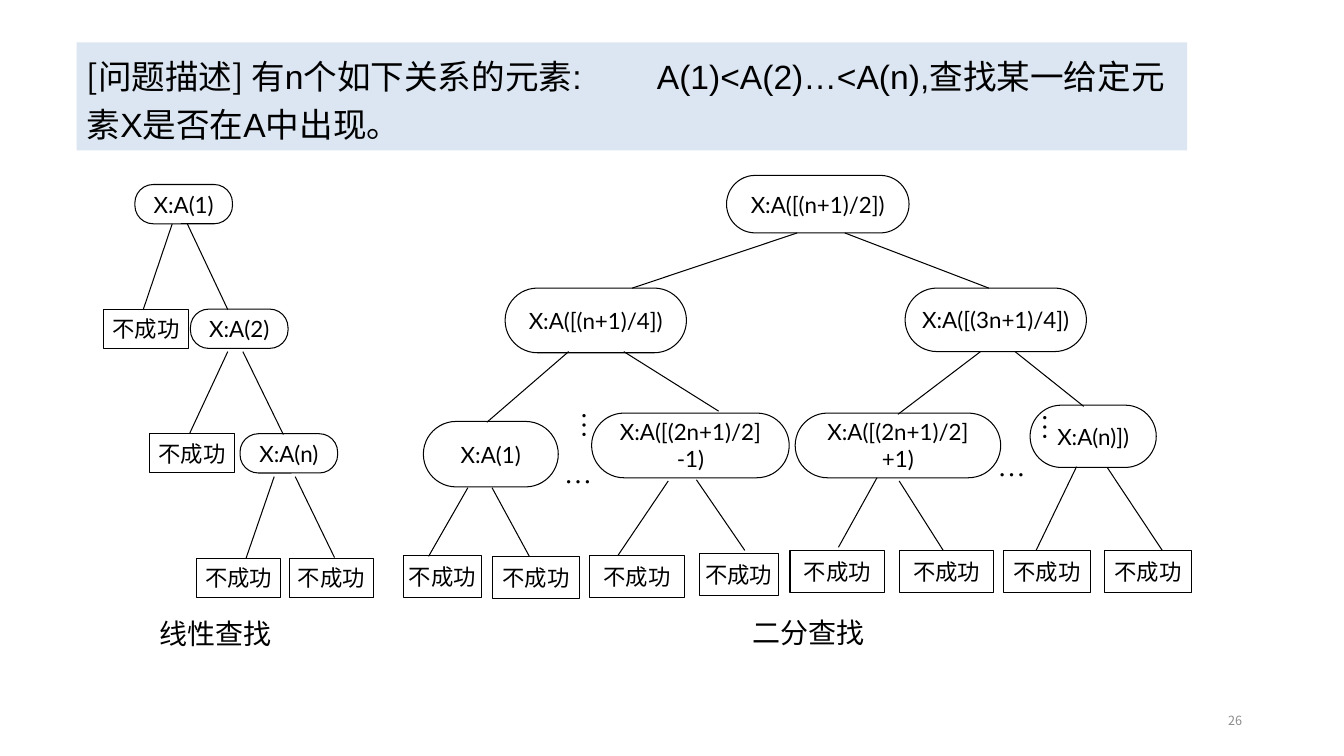
from dataclasses import dataclass

from lxml.etree import SubElement
from pptx import Presentation
from pptx.dml.color import RGBColor
from pptx.enum.shapes import MSO_CONNECTOR, MSO_SHAPE
from pptx.enum.text import MSO_ANCHOR, MSO_AUTO_SIZE, PP_ALIGN
from pptx.oxml.ns import qn
from pptx.util import Cm, Pt

BLACK = RGBColor(0x00, 0x00, 0x00)
GREY = RGBColor(0x8C, 0x8C, 0x8C)
PALE_BLUE = RGBColor(0xDC, 0xE6, 0xF2)
CJK = "Noto Sans CJK SC"
ARIAL = "Arial"
LATO = "Lato"
TIMES = "Times New Roman"
FAIL = "不成功"


@dataclass
class Node:
    text: str
    x: float
    y: float
    w: float
    h: float
    rounding: float = 0.0


@dataclass
class Edge:
    x1: float
    y1: float
    x2: float
    y2: float


@dataclass
class Label:
    text: str
    x: float
    y: float
    w: float
    h: float = 1.12
    font: str = CJK
    size: int = 20
    color: RGBColor = BLACK
    align: PP_ALIGN = PP_ALIGN.LEFT
    anchor: MSO_ANCHOR = MSO_ANCHOR.TOP
    wrap: bool = False
    vertical: bool = False


TITLE_RUNS = [
    ("[问题描述] 有", CJK), ("n", ARIAL), ("个如下关系的元素", CJK),
    (":\tA(1)<A(2)…<A(n),", ARIAL), ("查找某一给定元素", CJK), ("X", ARIAL),
    ("是否在", CJK), ("A", ARIAL), ("中出现。", CJK),
]

LEVEL_TOP, LEVEL_STEP = 4.65, 3.14
LINEAR_NODES = [
    Node(text, x, LEVEL_TOP + LEVEL_STEP * i, 2.46, 0.99, 0.467)
    for i, (text, x) in enumerate([("X:A(1)", 3.4), ("X:A(2)", 4.8), ("X:A(n)", 6.05)])
] + [
    Node(FAIL, x, LEVEL_TOP + LEVEL_STEP * level, 2.13, 0.99)
    for level, x in [(1, 2.62), (2, 3.78), (3, 4.95), (3, 7.29)]
]
LINEAR_EDGES = [
    Edge(4.34, 5.64, 3.61, 7.8), Edge(4.72, 5.64, 5.74, 7.8),
    Edge(5.74, 8.86, 4.78, 10.92), Edge(6.12, 8.86, 7.14, 10.95),
    Edge(6.91, 12.01, 6.2, 14.07), Edge(7.44, 12.01, 8.43, 14.05),
]

BINARY_NODES = [
    Node("X:A([(n+1)/2])", 18.31, 4.42, 4.6, 1.45, 0.5),
    Node("X:A([(3n+1)/4])", 22.81, 7.26, 4.57, 1.6, 0.5),
    Node("X:A([(n+1)/4])", 12.73, 7.26, 4.57, 1.63, 0.5),
    Node("X:A(n)])", 25.96, 10.21, 3.18, 1.57, 0.5),
    Node("X:A([(2n+1)/2]\n+1)", 20.04, 10.41, 5.18, 1.63, 0.5),
    Node("X:A([(2n+1)/2]\n-1)", 14.91, 10.41, 4.98, 1.63, 0.5),
    Node("X:A(1)", 10.67, 10.62, 3.4, 1.65, 0.5),
] + [
    Node(FAIL, x, y, w, 1.07)
    for x, y, w in [
        (10.16, 14, 1.98), (12.42, 14.02, 2.18), (14.86, 14, 2.39), (17.63, 13.94, 1.98),
        (19.91, 13.87, 2.39), (22.66, 13.87, 2.39), (25.3, 13.87, 2.18), (27.84, 13.87, 2.18),
    ]
]
BINARY_EDGES = [
    Edge(20.09, 5.87, 15.93, 7.26), Edge(21.29, 5.87, 24.92, 7.26),
    Edge(14.33, 8.86, 12.27, 10.64), Edge(15.72, 8.86, 18.11, 10.36),
    Edge(24.71, 8.86, 22.63, 10.44), Edge(25.58, 8.86, 27.31, 10.24),
    Edge(11.79, 12.29, 10.8, 14.02), Edge(12.4, 12.29, 13.34, 14.02),
    Edge(16.84, 12.12, 15.57, 14), Edge(17.55, 12.09, 18.77, 13.87),
    Edge(22.1, 12.04, 21.13, 13.79), Edge(22.66, 12.12, 23.77, 13.87),
    Edge(27.13, 11.76, 26.11, 13.87), Edge(27.91, 11.79, 29.29, 13.87),
]

LABELS = [
    Label("线性查找", 3.78, 15.42, 3.35),
    Label("二分查找", 18.72, 15.39, 3.38),
    Label("…", 14.15, 10.11, 1.37, font=TIMES, wrap=True, vertical=True),
    Label("…", 25.76, 10.16, 1.37, font=TIMES, wrap=True, vertical=True),
    Label("…", 13.97, 11.35, 1.22, font=TIMES),
    Label("…", 24.89, 11.18, 1.22, font=TIMES),
    Label("26", 23.93, 17.65, 7.62, 1.02, size=9, color=GREY,
          align=PP_ALIGN.RIGHT, anchor=MSO_ANCHOR.MIDDLE, wrap=True),
]


def add_run(p, text: str, font: str, size: int, color: RGBColor = BLACK) -> None:
    r = p.add_run()
    r.text = text
    r.font.size = Pt(size)
    r.font.color.rgb = color
    r.font.name = font
    SubElement(r._r.get_or_add_rPr(), qn("a:ea"), typeface=font)


def format_title(sp) -> None:
    sp.left, sp.top, sp.width, sp.height = Cm(1.93), Cm(1.07), Cm(27.99), Cm(2.72)
    sp.fill.solid()
    sp.fill.fore_color.rgb = PALE_BLUE
    tf = sp.text_frame
    tf.word_wrap = True
    tf.auto_size = MSO_AUTO_SIZE.NONE
    tf.vertical_anchor = MSO_ANCHOR.TOP
    p = tf.paragraphs[0]
    p.alignment = PP_ALIGN.LEFT
    p.line_spacing = 1.2
    tabs = SubElement(p._p.get_or_add_pPr(), qn("a:tabLst"))
    SubElement(tabs, qn("a:tab"), pos=str(Cm(14.37)), algn="l")
    for text, font in TITLE_RUNS:
        add_run(p, text, font, 24)


def draw_node(s, node: Node) -> None:
    kind = MSO_SHAPE.ROUNDED_RECTANGLE if node.rounding else MSO_SHAPE.RECTANGLE
    sp = s.shapes.add_shape(kind, Cm(node.x), Cm(node.y), Cm(node.w), Cm(node.h))
    if node.rounding:
        sp.adjustments[0] = node.rounding
    sp.shadow.inherit = False
    sp.fill.background()
    sp.line.color.rgb = BLACK
    sp.line.width = Pt(0.75)
    tf = sp.text_frame
    tf.word_wrap = False
    tf.vertical_anchor = MSO_ANCHOR.MIDDLE
    for i, line in enumerate(node.text.split("\n")):
        p = tf.add_paragraph() if i else tf.paragraphs[0]
        p.alignment = PP_ALIGN.CENTER
        add_run(p, line, LATO, 16)


def draw_edge(s, edge: Edge) -> None:
    sp = s.shapes.add_connector(MSO_CONNECTOR.STRAIGHT, Cm(edge.x1), Cm(edge.y1),
                                Cm(edge.x2), Cm(edge.y2))
    sp.line.color.rgb = BLACK
    sp.line.width = Pt(0.75)
    SubElement(sp._element.spPr, qn("a:effectLst"))


def draw_label(s, label: Label) -> None:
    sp = s.shapes.add_textbox(Cm(label.x), Cm(label.y), Cm(label.w), Cm(label.h))
    tf = sp.text_frame
    tf.word_wrap = label.wrap
    tf.vertical_anchor = label.anchor
    if label.vertical:
        tf._txBody.bodyPr.set("vert", "eaVert")
    p = tf.paragraphs[0]
    p.alignment = label.align
    add_run(p, label.text, label.font, label.size, label.color)


def main() -> None:
    prs = Presentation()
    prs.slide_width, prs.slide_height = Cm(33.87), Cm(19.05)
    s = prs.slides.add_slide(prs.slide_layouts[5])
    format_title(s.shapes.title)
    for node in LINEAR_NODES + BINARY_NODES:
        draw_node(s, node)
    for edge in LINEAR_EDGES + BINARY_EDGES:
        draw_edge(s, edge)
    for label in LABELS:
        draw_label(s, label)
    prs.save("out.pptx")


if __name__ == "__main__":
    main()
